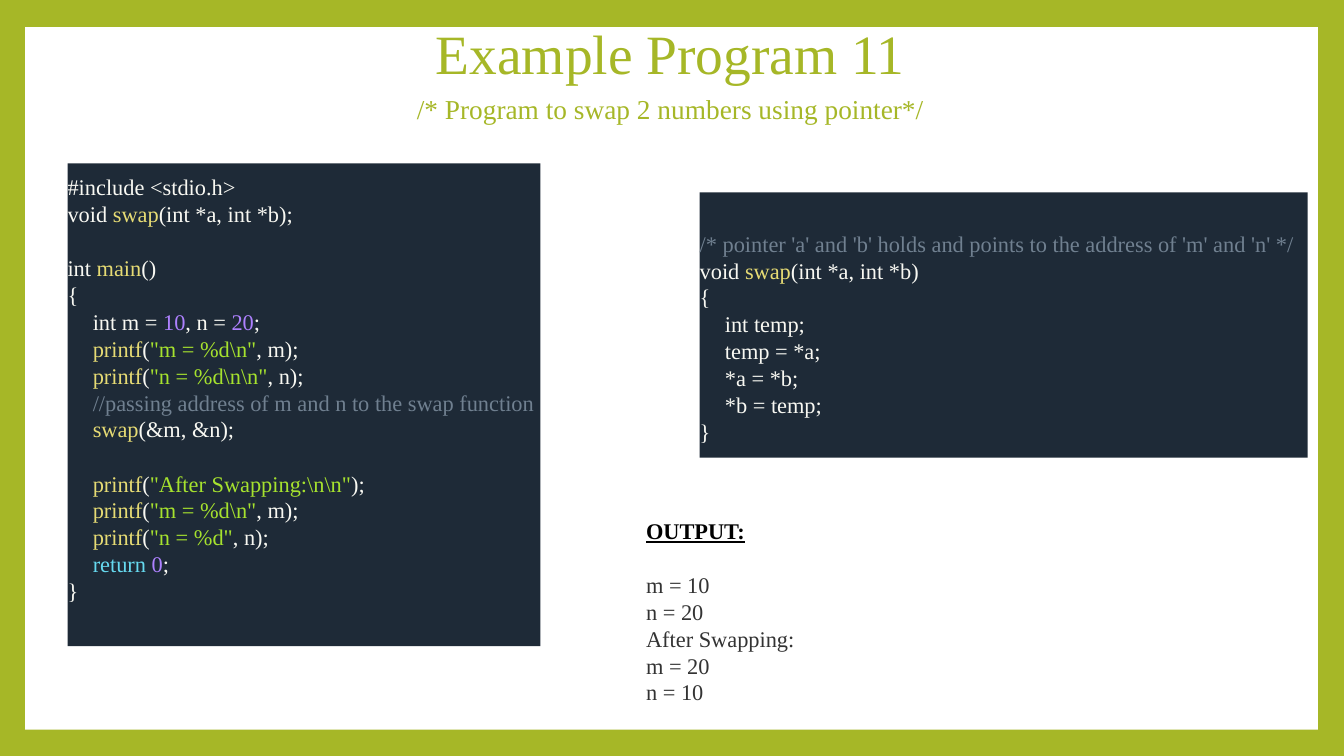
from pptx import Presentation
from pptx.dml.color import RGBColor
from pptx.enum.shapes import MSO_SHAPE as Shape
from pptx.enum.text import MSO_ANCHOR as Anchor, PP_ALIGN as Align
from pptx.util import Inches, Pt

THEME = {
    "font": "Times New Roman",
    "title": 39.6, "subtitle": 19.5, "body": 16,
    "accent": "A6B727", "paper": "FFFFFF", "panel": "1E2A37",
    "plain": "F8F8F2", "name": "E6DB74", "number": "AE81FF",
    "string": "A6E22E", "comment": "708090", "keyword": "66D9EF",
    "heading": "000000", "output": "333333",
}
LINE = 0.27

TITLE = "Example Program 11"
SUBTITLE = "/* Program to swap 2 numbers using pointer*/"
PRINTF = ("printf", "name")
SWAP = ("swap", "name")

# each line: indent level, blank lines before, runs of (words, colour role)
MAIN_CODE = [
    (0, 0, [("#include <stdio.h>", "plain")]),
    (0, 0, [("void ", "plain"), SWAP, ("(int *a, int *b);", "plain")]),
    (0, 1, [("int ", "plain"), ("main", "name"), ("()", "plain")]),
    (0, 0, [("{", "plain")]),
    (1, 0, [("int m = ", "plain"), ("10", "number"), (", n = ", "plain"),
            ("20", "number"), (";", "plain")]),
    (1, 0, [PRINTF, ("(", "plain"), (r'"m = %d\n"', "string"), (", m);", "plain")]),
    (1, 0, [PRINTF, ("(", "plain"), (r'"n = %d\n\n"', "string"), (", n);", "plain")]),
    (1, 0, [("//passing address of m and n to the swap function", "comment")]),
    (1, 0, [SWAP, ("(&m, &n);", "plain")]),
    (1, 1, [PRINTF, ("(", "plain"), (r'"After Swapping:\n\n"', "string"), (");", "plain")]),
    (1, 0, [PRINTF, ("(", "plain"), (r'"m = %d\n"', "string"), (", m);", "plain")]),
    (1, 0, [PRINTF, ("(", "plain"), (r'"n = %d"', "string"), (", n);", "plain")]),
    (1, 0, [("return ", "keyword"), ("0", "number"), (";", "plain")]),
    (0, 0, [("}", "plain")]),
]
SWAP_CODE = [
    (0, 0, [("/* pointer 'a' and 'b' holds and points to the address of 'm' and 'n' */",
             "comment")]),
    (0, 0, [("void ", "plain"), SWAP, ("(int *a, int *b)", "plain")]),
    (0, 0, [("{", "plain")]),
    (1, 0, [("int temp;", "plain")]),
    (1, 0, [("temp = *a;", "plain")]),
    (1, 0, [("*a = *b;", "plain")]),
    (1, 0, [("*b = temp;", "plain")]),
    (0, 0, [("}", "plain")]),
]
OUTPUT = [
    (0, 0, [("OUTPUT:", "heading")]),
    (0, 1, [("m = 10", "output")]),
    (0, 0, [("n = 20", "output")]),
    (0, 0, [("After Swapping:", "output")]),
    (0, 0, [("m = 20", "output")]),
    (0, 0, [("n = 10", "output")]),
]


def color(role):
    return RGBColor.from_string(THEME[role])


def add_panel(slide, box, fill):
    sp = slide.shapes.add_shape(Shape.RECTANGLE, *map(Inches, box))
    sp.shadow.inherit = False
    sp.fill.solid()
    sp.fill.fore_color.rgb = color(fill)
    sp.line.fill.background()
    return sp


def write(sp, lines, size="body", align=Align.LEFT, anchor=Anchor.TOP,
          side=0.1, top=0.05, bottom=0.05, wrap=True, spacing=None):
    tf = sp.text_frame
    tf.word_wrap = wrap
    tf.vertical_anchor = anchor
    tf.margin_left = tf.margin_right = Inches(side)
    tf.margin_top, tf.margin_bottom = Inches(top), Inches(bottom)
    for i, (level, blanks, runs) in enumerate(lines):
        p = tf.add_paragraph() if i else tf.paragraphs[0]
        p.alignment = align
        if spacing:
            p.line_spacing = spacing
        if blanks:
            p.space_before = Inches(blanks * LINE)
        if level:
            p.level = level
            pPr = p._p.get_or_add_pPr()
            pPr.set("marL", str(Inches(0.25 * level)))
            pPr.set("indent", "0")
        for words, role in runs:
            r = p.add_run()
            r.text = words
            r.font.name = THEME["font"]
            r.font.size = Pt(THEME[size])
            r.font.color.rgb = color(role)
            if role == "heading":
                r.font.bold = r.font.underline = True


def main():
    prs = Presentation()
    prs.slide_width, prs.slide_height = Inches(13.33), Inches(7.5)
    s = prs.slides.add_slide(prs.slide_layouts[6])
    s.background.fill.solid()
    s.background.fill.fore_color.rgb = color("accent")
    add_panel(s, (0.25, 0.27, 12.82, 6.97), "paper")

    for words, size, y in ((TITLE, "title", 0.29), (SUBTITLE, "subtitle", 0.83)):
        sp = s.shapes.add_textbox(*map(Inches, (1.25, y, 10.8, 0.54)))
        write(sp, [(0, 0, [(words, "accent")])], size=size, align=Align.CENTER,
              anchor=Anchor.MIDDLE, spacing=0.9)

    for box, code, top in (((0.67, 1.62, 4.69, 4.79), MAIN_CODE, 0.1),
                           ((6.94, 1.91, 6.03, 2.63), SWAP_CODE, 0.1 + LINE)):
        write(add_panel(s, box, "panel"), code, side=0, top=top, bottom=0.1, wrap=False)

    sp = s.shapes.add_textbox(*map(Inches, (6.31, 4.81, 3.71, 2.26)))
    write(sp, OUTPUT, top=0.05 + LINE)
    prs.save("out.pptx")


if __name__ == "__main__":
    main()
